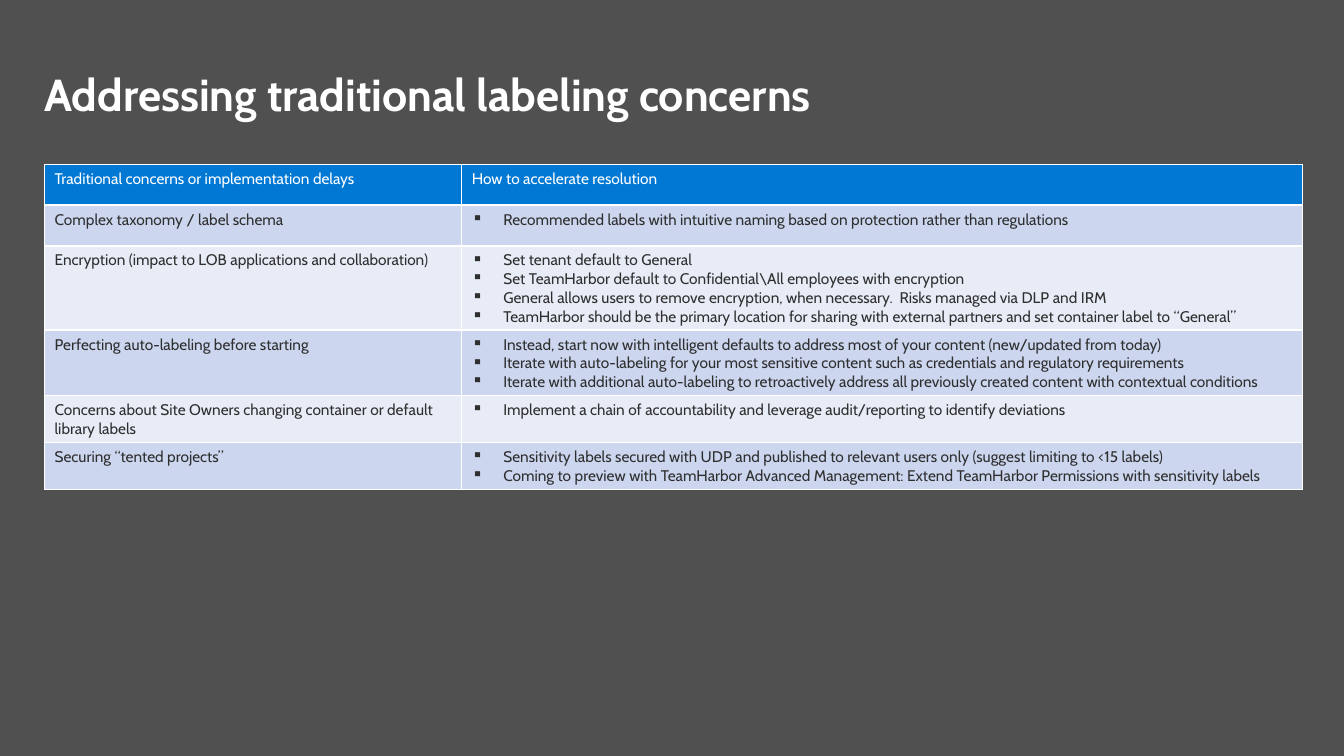
from lxml import etree
from pptx import Presentation
from pptx.dml.color import RGBColor
from pptx.enum import text as t
from pptx.oxml import ns
from pptx.util import Pt

# Content
TITLE = "Addressing traditional labeling concerns"
HEADINGS = ("Traditional concerns or implementation delays", "How to accelerate resolution")
CONCERNS = [
    ("Complex taxonomy / label schema", [
        "Recommended labels with intuitive naming based on protection rather than regulations",
    ]),
    ("Encryption (impact to LOB applications and collaboration)", [
        "Set tenant default to General",
        "Set TeamHarbor default to Confidential\\All employees with encryption",
        "General allows users to remove encryption, when necessary.  Risks managed via DLP and IRM",
        "TeamHarbor should be the primary location for sharing with external partners "
        "and set container label to “General”",
    ]),
    ("Perfecting auto-labeling before starting", [
        "Instead, start now with intelligent defaults to address most of your content "
        "(new/updated from today)",
        "Iterate with auto-labeling for your most sensitive content such as credentials "
        "and regulatory requirements",
        "Iterate with additional auto-labeling to retroactively address all previously "
        "created content with contextual conditions",
    ]),
    ("Concerns about Site Owners changing container or default library labels", [
        "Implement a chain of accountability and leverage audit/reporting to identify deviations",
    ]),
    ("Securing “tented projects”", [
        "Sensitivity labels secured with UDP and published to relevant users only "
        "(suggest limiting to <15 labels)",
        "Coming to preview with TeamHarbor Advanced Management: Extend TeamHarbor "
        "Permissions with sensitivity labels",
    ]),
]

# Look
FONT = "Cabin"
BACKGROUND = RGBColor(0x50, 0x50, 0x50)
WHITE = RGBColor(0xFF, 0xFF, 0xFF)
INK = RGBColor(0x2F, 0x2F, 0x2F)
HEADING_BLUE = RGBColor(0x00, 0x78, 0xD4)
BANDS = (RGBColor(0xCC, 0xD6, 0xEF), RGBColor(0xE7, 0xEC, 0xF7))

# Layout, in points
LEFT, TITLE_TOP, TITLE_WIDTH, TITLE_HEIGHT = 31.8, 47.5, 907, 39
TABLE_TOP, ROW_HEIGHT, INDENT = 117.3, 29.2, 22.5
COLUMN_WIDTHS = (298, 600.5)


def add_line(paragraph, wording, size, color, bold=False):
    run = paragraph.add_run()
    run.text = wording
    run.font.name, run.font.size, run.font.bold = FONT, Pt(size), bold
    run.font.color.rgb = color


def add_bullet(paragraph):
    props = paragraph._p.get_or_add_pPr()
    props.set("marL", str(Pt(INDENT)))
    props.set("indent", str(-Pt(INDENT)))
    etree.SubElement(props, ns.qn("a:buChar"), char="▪")


def fill_cell(cell, lines, fill, color, bulleted=False):
    cell.fill.solid()
    cell.fill.fore_color.rgb = fill
    frame = cell.text_frame
    for index, line in enumerate(lines):
        paragraph = frame.add_paragraph() if index else frame.paragraphs[0]
        if bulleted:
            add_bullet(paragraph)
        add_line(paragraph, line, 11, color)


deck = Presentation()
deck.slide_width, deck.slide_height = Pt(960), Pt(540)
slide = deck.slides.add_slide(deck.slide_layouts[5])
slide.background.fill.solid()
slide.background.fill.fore_color.rgb = BACKGROUND

# Title
title = slide.shapes.title
title.left, title.top = Pt(LEFT), Pt(TITLE_TOP)
title.width, title.height = Pt(TITLE_WIDTH), Pt(TITLE_HEIGHT)
heading = title.text_frame
heading.margin_left = heading.margin_top = heading.margin_right = heading.margin_bottom = 0
heading.vertical_anchor = t.MSO_ANCHOR.TOP
heading.auto_size = t.MSO_AUTO_SIZE.SHAPE_TO_FIT_TEXT
heading.word_wrap = True
heading.paragraphs[0].alignment = t.PP_ALIGN.LEFT
add_line(heading.paragraphs[0], TITLE, 32, WHITE, bold=True)

# Table: the default style supplies the white rules, rows grow with their text
row_count = len(CONCERNS) + 1
concerns = slide.shapes.add_table(
    row_count, len(HEADINGS), Pt(LEFT), Pt(TABLE_TOP),
    Pt(sum(COLUMN_WIDTHS)), Pt(ROW_HEIGHT * row_count)).table
for column, width in zip(concerns.columns, COLUMN_WIDTHS):
    column.width = Pt(width)
for row in concerns.rows:
    row.height = Pt(ROW_HEIGHT)

for column, label in enumerate(HEADINGS):
    fill_cell(concerns.cell(0, column), [label], HEADING_BLUE, WHITE)
for row, (concern, resolutions) in enumerate(CONCERNS, start=1):
    band = BANDS[(row - 1) % 2]
    fill_cell(concerns.cell(row, 0), [concern], band, INK)
    fill_cell(concerns.cell(row, 1), resolutions, band, INK, bulleted=True)

deck.save("out.pptx")
